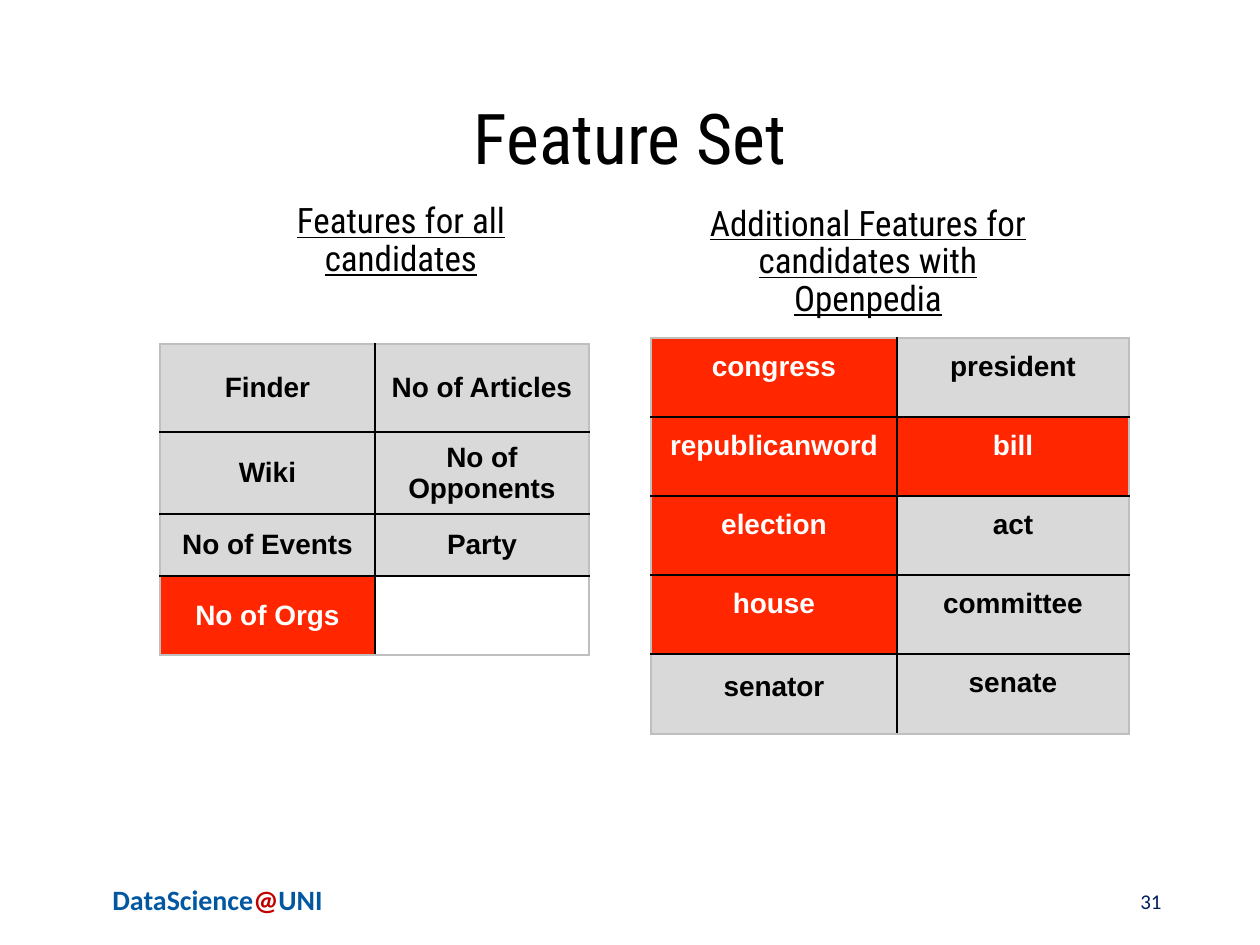
from lxml import etree
from pptx import Presentation
from pptx.dml.color import RGBColor
from pptx.enum.text import MSO_ANCHOR, PP_ALIGN
from pptx.oxml.ns import qn
from pptx.util import Emu, Pt

CENTER, RIGHT = PP_ALIGN.CENTER, PP_ALIGN.RIGHT
TOP, MIDDLE = MSO_ANCHOR.TOP, MSO_ANCHOR.MIDDLE
BLACK = RGBColor(0x00, 0x00, 0x00)
WHITE = RGBColor(0xFF, 0xFF, 0xFF)
GREY = RGBColor(0xD9, 0xD9, 0xD9)
EDGE = RGBColor(0xBF, 0xBF, 0xBF)
RED = RGBColor(0xFF, 0x26, 0x00)
BLUE = RGBColor(0x02, 0x57, 0xA1)
CRIMSON = RGBColor(0xC0, 0x00, 0x00)
NAVY = RGBColor(0x00, 0x20, 0x60)
HEADING_FONT = "Roboto Condensed"

GENERAL_FEATURES = [
    ["Finder", "No of Articles"],
    ["Wiki", "No of Opponents"],
    ["No of Events", "Party"],
    ["No of Orgs", ""],
]
WORD_FEATURES = [
    ["congress", "president"],
    ["republicanword", "bill"],
    ["election", "act"],
    ["house", "committee"],
    ["senator", "senate"],
]
HIGHLIGHTED = {"No of Orgs", "congress", "republicanword", "bill", "election", "house"}


def px(count):
    """Turn pixels at 126 to the inch into EMU."""
    return Emu(round(count * 914400 / 126))


def style_paragraph(para, font, size, color, align=CENTER, bold=False):
    """Set the alignment and font of a paragraph."""
    para.alignment = align
    para.font.name = font
    para.font.size = Pt(size)
    para.font.color.rgb = color
    para.font.bold = bold


def add_text(slide, area, text, font, size, color, align=CENTER, anchor=MIDDLE, bold=False):
    """Add a wrapping text box and return its paragraph."""
    box = slide.shapes.add_textbox(*map(px, area))
    frame = box.text_frame
    frame.word_wrap = True
    frame.vertical_anchor = anchor
    para = frame.paragraphs[0]
    para.text = text
    style_paragraph(para, font, size, color, align, bold)
    return para


def set_title(slide, area, text):
    """Place and format the title placeholder."""
    title = slide.shapes.title
    title.left, title.top, title.width, title.height = map(px, area)
    title.text_frame.vertical_anchor = MIDDLE
    para = title.text_frame.paragraphs[0]
    para.text = text
    para.line_spacing = 0.9
    style_paragraph(para, HEADING_FONT, 40, BLACK)


def add_heading(slide, area, text):
    """Add an underlined heading above a table."""
    para = add_text(slide, area, text, HEADING_FONT, 20, BLACK)
    para.line_spacing = 0.9
    para.font.underline = True


def set_borders(cell, colors):
    """Draw the four borders of a cell in the given colours."""
    properties = cell._tc.get_or_add_tcPr()
    for side, color in colors.items():
        line = etree.SubElement(properties, qn(f"a:ln{side}"), w=str(Pt(1)))
        fill = etree.SubElement(line, qn("a:solidFill"))
        etree.SubElement(fill, qn("a:srgbClr"), val=str(color))


def fill_cell(cell, text, anchor, inset):
    """Write a feature name and colour its cell."""
    cell.vertical_anchor = anchor
    cell.margin_left = cell.margin_right = px(inset)
    cell.margin_top = cell.margin_bottom = px(inset)
    if not text:
        cell.fill.background()
        return
    highlighted = text in HIGHLIGHTED
    cell.fill.solid()
    cell.fill.fore_color.rgb = RED if highlighted else GREY
    para = cell.text_frame.paragraphs[0]
    para.text = text
    style_paragraph(para, "Arial", 16, WHITE if highlighted else BLACK, bold=True)


def add_feature_table(slide, left, top, widths, heights, features, anchor, inset):
    """Add a table of features with light outer and black inner borders."""
    area = map(px, (left, top, sum(widths), sum(heights)))
    table = slide.shapes.add_table(len(heights), len(widths), *area).table
    table.first_row = table.horz_banding = False
    for column, width in zip(table.columns, widths):
        column.width = px(width)
    for row, height in zip(table.rows, heights):
        row.height = px(height)
    last_row, last_column = len(heights) - 1, len(widths) - 1
    for i, names in enumerate(features):
        for j, name in enumerate(names):
            cell = table.cell(i, j)
            set_borders(cell, {
                "L": EDGE if j == 0 else BLACK,
                "R": EDGE if j == last_column else BLACK,
                "T": EDGE if i == 0 else BLACK,
                "B": EDGE if i == last_row else BLACK,
            })
            fill_cell(cell, name, anchor, inset)
    return table


def add_footer(slide):
    """Add the programme name and the page number."""
    para = add_text(slide, (87, 876, 261, 67), "", "Calibri", 16, BLUE, anchor=TOP, bold=True)
    for text, color in (("DataScience", BLUE), ("@", CRIMSON), ("UNI", BLUE)):
        span = para.add_run()
        span.text = text
        span.font.color.rgb = color
    add_text(slide, (890, 876, 284, 50), "31", "Calibri", 12, NAVY, align=RIGHT)


def main():
    """Build the feature set slide."""
    deck = Presentation()
    deck.slide_width, deck.slide_height = px(1260), px(945)
    slide = deck.slides.add_slide(deck.slide_layouts[5])
    add_footer(slide)
    set_title(slide, (87, 50, 1086, 183), "Feature Set")
    add_feature_table(slide, 160, 344, [215, 214], [88, 82, 62, 79],
                      GENERAL_FEATURES, MIDDLE, 6)
    words = add_feature_table(slide, 651, 338, [246, 232], [79, 79, 79, 79, 80],
                              WORD_FEATURES, TOP, 13)
    words.cell(4, 0).text_frame.paragraphs[0].line_spacing = 1.15
    add_heading(slide, (212, 212, 378, 59), "Features for all candidates")
    add_heading(slide, (679, 233, 378, 59), "Additional Features for candidates with Openpedia")
    deck.save("out.pptx")


if __name__ == "__main__":
    main()
